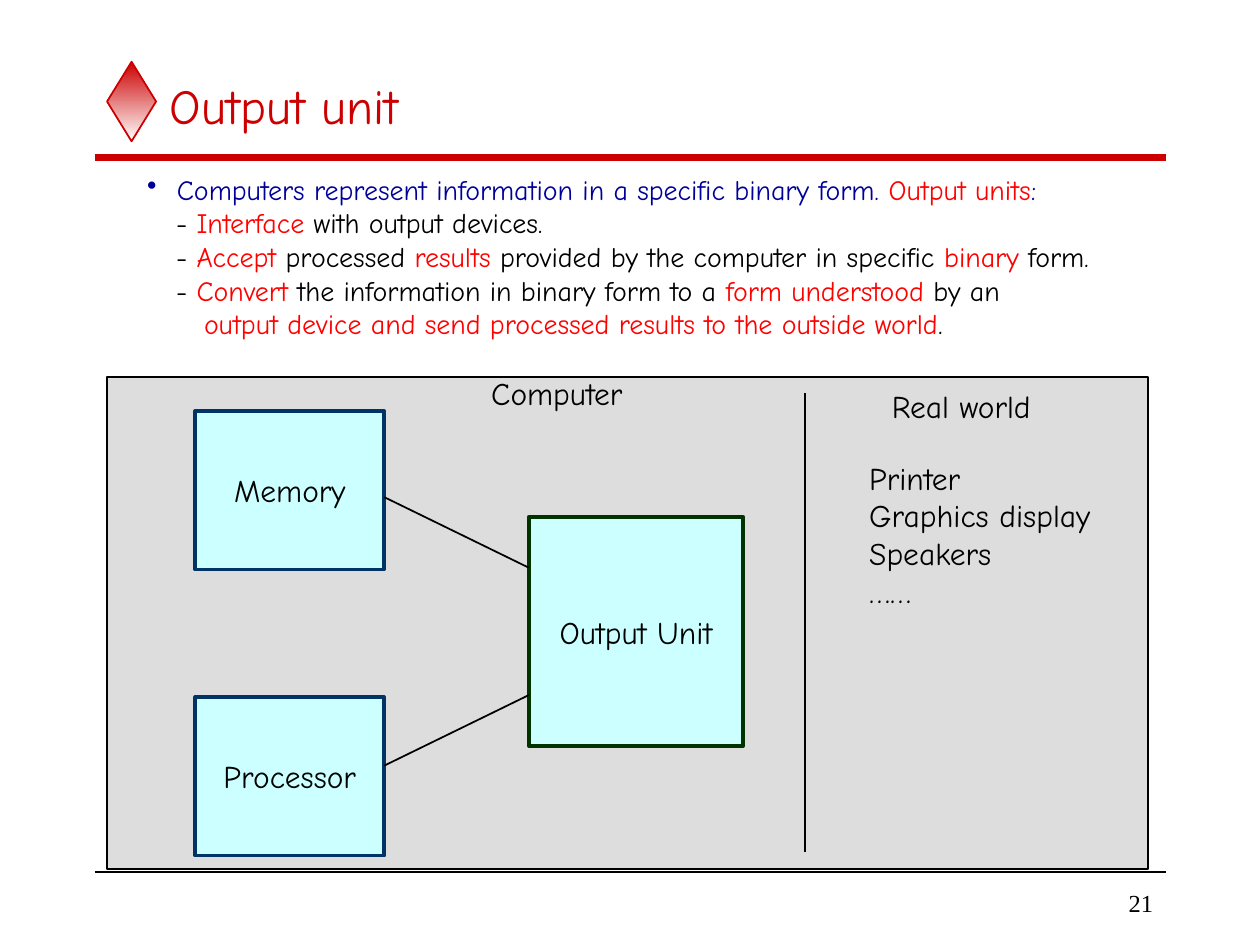
from lxml import etree
from pptx import Presentation
from pptx.dml.color import RGBColor
from pptx.enum import shapes, text
from pptx.oxml.ns import qn
from pptx.util import Pt

COLORS = {
    "title": "CC0000", "lead": "000099", "key": "FF0000", "ink": "000000",
    "panel": "DDDDDD", "node": "CCFFFF", "node_edge": "003366",
    "output_edge": "003300", "white": "FFFFFF",
}
HAND = "Comic Neue"
BULLET_INDENT = 17

# Each line is its left margin and its (wording, colour) spans.
LINES = [
    (BULLET_INDENT, [
        ("Computers represent information in a specific binary form. ", "lead"),
        ("Output units", "key"), (":", "lead")]),
    (16.5, [("- ", "ink"), ("Interface", "key"), (" with output devices.", "ink")]),
    (16.5, [("- ", "ink"), ("Accept", "key"), (" processed ", "ink"),
            ("results", "key"),
            (" provided by the computer in specific ", "ink"),
            ("binary", "key"), (" form.", "ink")]),
    (16.5, [("- ", "ink"), ("Convert", "key"),
            (" the information in binary form to a ", "ink"),
            ("form understood", "key"), (" by an", "ink")]),
    (32.5, [("output device and send processed results to the outside world", "key"),
            (".", "ink")]),
]


def color(name):
    return RGBColor.from_string(COLORS[name])


def style(para, size, name="ink", font=HAND, align=text.PP_ALIGN.LEFT):
    para.alignment = align
    para.font.size = Pt(size)
    para.font.name = font
    para.font.color.rgb = color(name)


def add_line(page, x1, y1, x2, y2, name="ink", width=1):
    line = page.shapes.add_connector(
        shapes.MSO_CONNECTOR.STRAIGHT, Pt(x1), Pt(y1), Pt(x2), Pt(y2))
    line.line.color.rgb = color(name)
    line.line.width = Pt(width)
    etree.SubElement(line._element.spPr, qn("a:effectLst"))


def add_block(page, kind, left, top, width, height, edge, line_width=1):
    block = page.shapes.add_shape(kind, Pt(left), Pt(top), Pt(width), Pt(height))
    block.shadow.inherit = False
    block.line.color.rgb = color(edge)
    block.line.width = Pt(line_width)
    return block


def add_text(page, left, top, width, height, lines, size, name="ink",
             font=HAND, align=text.PP_ALIGN.LEFT, anchor=text.MSO_ANCHOR.TOP,
             wrap=False):
    box = page.shapes.add_textbox(Pt(left), Pt(top), Pt(width), Pt(height))
    frame = box.text_frame
    frame.word_wrap = wrap
    frame.vertical_anchor = anchor
    frame.text = "\n".join(lines)
    for para in frame.paragraphs:
        style(para, size, name, font, align)


def add_node(page, left, top, width, height, label, edge):
    node = add_block(page, shapes.MSO_SHAPE.RECTANGLE,
                     left, top, width, height, edge, 2)
    node.fill.solid()
    node.fill.fore_color.rgb = color("node")
    frame = node.text_frame
    frame.word_wrap = False
    frame.vertical_anchor = text.MSO_ANCHOR.MIDDLE
    frame.text = label
    style(frame.paragraphs[0], 18, align=text.PP_ALIGN.CENTER)


def add_header(page, left, top, width, height):
    """Diamond, title and the thick rule beneath them."""
    diamond = add_block(page, shapes.MSO_SHAPE.DIAMOND,
                        left + 7.2, top, 28, 45.5, "title")
    diamond.fill.gradient()
    diamond.fill.gradient_angle = 270
    for stop, name in zip(diamond.fill.gradient_stops, ("title", "white")):
        stop.color.rgb = color(name)
    add_line(page, left, top + height, left + width, top + height, "title", 4)
    add_text(page, left + 36, top + 0.75, width - 36, 48, ["Output unit"], 28,
             "title", anchor=text.MSO_ANCHOR.MIDDLE, wrap=True)


def add_footer(page, left, top, width):
    """Thin rule with the slide number under its right end."""
    add_line(page, left, top, left + width, top)
    add_text(page, left + width - 102, top + 5.75, 102, 24, ["21"], 14,
             font="Times New Roman", align=text.PP_ALIGN.RIGHT,
             anchor=text.MSO_ANCHOR.MIDDLE, wrap=True)


def add_summary(page, left, top, width, height):
    box = page.shapes.add_textbox(Pt(left), Pt(top), Pt(width), Pt(height))
    frame = box.text_frame
    frame.word_wrap = False
    for index, (margin, spans) in enumerate(LINES):
        para = frame.paragraphs[0] if index == 0 else frame.add_paragraph()
        props = para._p.get_or_add_pPr()
        props.set("marL", str(Pt(margin)))
        if index == 0:
            props.set("indent", str(-Pt(BULLET_INDENT)))
            etree.SubElement(props, qn("a:buChar"), char="•")
        style(para, 16)
        for wording, name in spans:
            span = para.add_run()
            span.text = wording
            span.font.color.rgb = color(name)


def add_diagram(page, left, top, width, height):
    """Computer on the left of the divider, real world on the right."""
    panel = add_block(page, shapes.MSO_SHAPE.RECTANGLE,
                      left, top, width, height, "ink")
    panel.fill.solid()
    panel.fill.fore_color.rgb = color("panel")

    output_left, output_top, output_height = left + 241, top + 80, 131
    add_node(page, output_left, output_top, 122.5, output_height,
             "Output Unit", "output_edge")
    node_left, node_width, node_height = left + 50.4, 108, 90.7
    middle = output_top + output_height / 2
    for label, node_top, side in (("Processor", top + 183, 1),
                                  ("Memory", top + 19.5, -1)):
        add_node(page, node_left, node_top, node_width, node_height,
                 label, "node_edge")
        add_line(page, output_left, middle + side * 36.4,
                 node_left + node_width, middle + side * 76.7)

    add_text(page, left + 212.4, top - 5, 90, 29, ["Computer"], 18)
    divider = left + 399
    add_line(page, divider, top + 9.5, divider, top + height - 10)
    add_text(page, divider + 42.3, top + 2.2, 94.3, 29, ["Real world"], 18)
    add_text(page, divider + 29.4, top + 43.2, 141, 93.6,
             ["Printer", "Graphics display", "Speakers", "……"], 18)


def main():
    deck = Presentation()
    deck.slide_width, deck.slide_height = Pt(720), Pt(540)
    page = deck.slides.add_slide(deck.slide_layouts[6])
    add_header(page, 54, 35.25, 612, 54.75)
    add_footer(page, 54, 498.25, 612)
    add_summary(page, 77, 95, 553.7, 103.7)
    add_diagram(page, 61.2, 215.3, 594.7, 281.5)
    deck.save("out.pptx")


if __name__ == "__main__":
    main()
